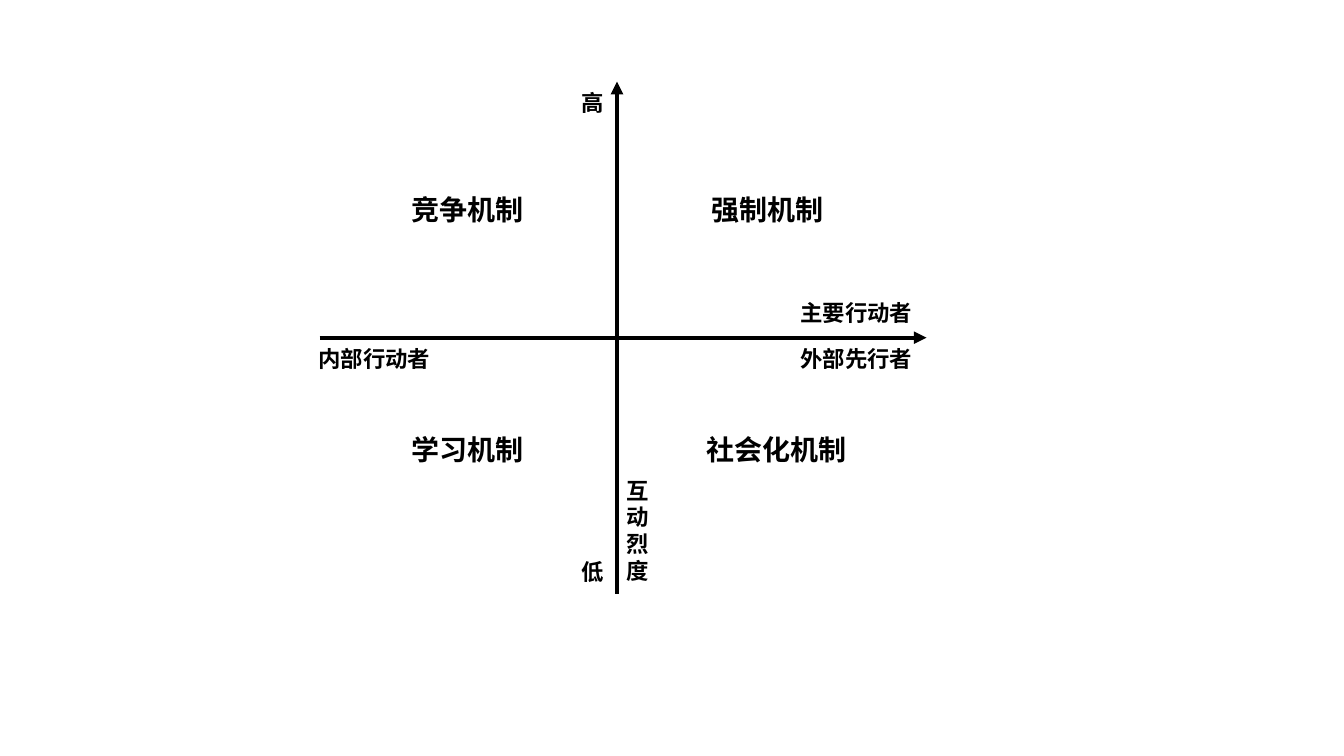
from dataclasses import dataclass

from lxml import etree
from pptx import Presentation
from pptx.dml.color import RGBColor
from pptx.enum.shapes import MSO_CONNECTOR
from pptx.enum.text import MSO_AUTO_SIZE, PP_ALIGN
from pptx.oxml.ns import qn
from pptx.util import Inches, Pt

STRAIGHT = MSO_CONNECTOR.STRAIGHT
FIT_SHAPE = MSO_AUTO_SIZE.SHAPE_TO_FIT_TEXT
LEFT, CENTER = PP_ALIGN.LEFT, PP_ALIGN.CENTER


@dataclass(frozen=True)
class Theme:
    ink: RGBColor = RGBColor(0, 0, 0)
    axis_width: Pt = Pt(3)
    mechanism_size: Pt = Pt(20)
    mechanism_font: str = "Noto Sans CJK SC"
    label_size: Pt = Pt(16)
    label_font: str = "Roboto"


theme = Theme()


def add_axis(slide, start, end):
    """Draw an axis line with an arrowhead at its end."""
    axis = slide.shapes.add_connector(STRAIGHT, *map(Inches, start + end))
    axis.line.color.rgb = theme.ink
    axis.line.width = theme.axis_width
    etree.SubElement(axis.line._get_or_add_ln(), qn("a:tailEnd"), type="triangle")
    etree.SubElement(axis._element.spPr, qn("a:effectLst"))


def add_text(slide, text, box, size, font_name, alignment):
    text_box = slide.shapes.add_textbox(*map(Inches, box))
    text_frame = text_box.text_frame
    text_frame.word_wrap = True
    text_frame.auto_size = FIT_SHAPE
    text_frame.text = text
    paragraph = text_frame.paragraphs[0]
    paragraph.alignment = alignment
    font = paragraph.runs[0].font
    font.size = size
    font.bold = True
    font.color.rgb = theme.ink
    font.name = font_name
    # East Asian characters take their typeface from a separate element
    etree.SubElement(font._element, qn("a:ea"), typeface=font_name)


presentation = Presentation()
presentation.slide_width = Inches(13.33)
presentation.slide_height = Inches(7.5)
slide = presentation.slides.add_slide(presentation.slide_layouts[6])

axis_x, axis_y = 6.12, 3.35
add_axis(slide, (3.17, axis_y), (9.19, axis_y))
add_axis(slide, (axis_x, 5.89), (axis_x, 0.81))

upper_row, lower_row = 1.86, 4.24
mechanisms = [
    ("竞争机制", 3.83, upper_row),
    ("强制机制", 6.81, upper_row),
    ("学习机制", 3.83, lower_row),
    ("社会化机制", 6.9, lower_row),
]
for text, left, top in mechanisms:
    add_text(slide, text, (left, top, 1.61, 0.44),
             theme.mechanism_size, theme.mechanism_font, CENTER)

axis_labels = [
    ("主要行动者", (7.84, 2.92, 1.35, 0.37)),
    ("外部先行者", (7.84, 3.37, 1.35, 0.37)),
    ("内部行动者", (3.06, 3.38, 1.35, 0.37)),
    ("高", (5.67, 0.84, 0.46, 0.37)),
    ("低", (5.67, 5.49, 0.46, 0.37)),
    ("互动烈度", (axis_x, 4.68, 0.54, 1.18)),  # narrow box: one character a line
]
for text, box in axis_labels:
    add_text(slide, text, box, theme.label_size, theme.label_font, LEFT)

presentation.save("out.pptx")
